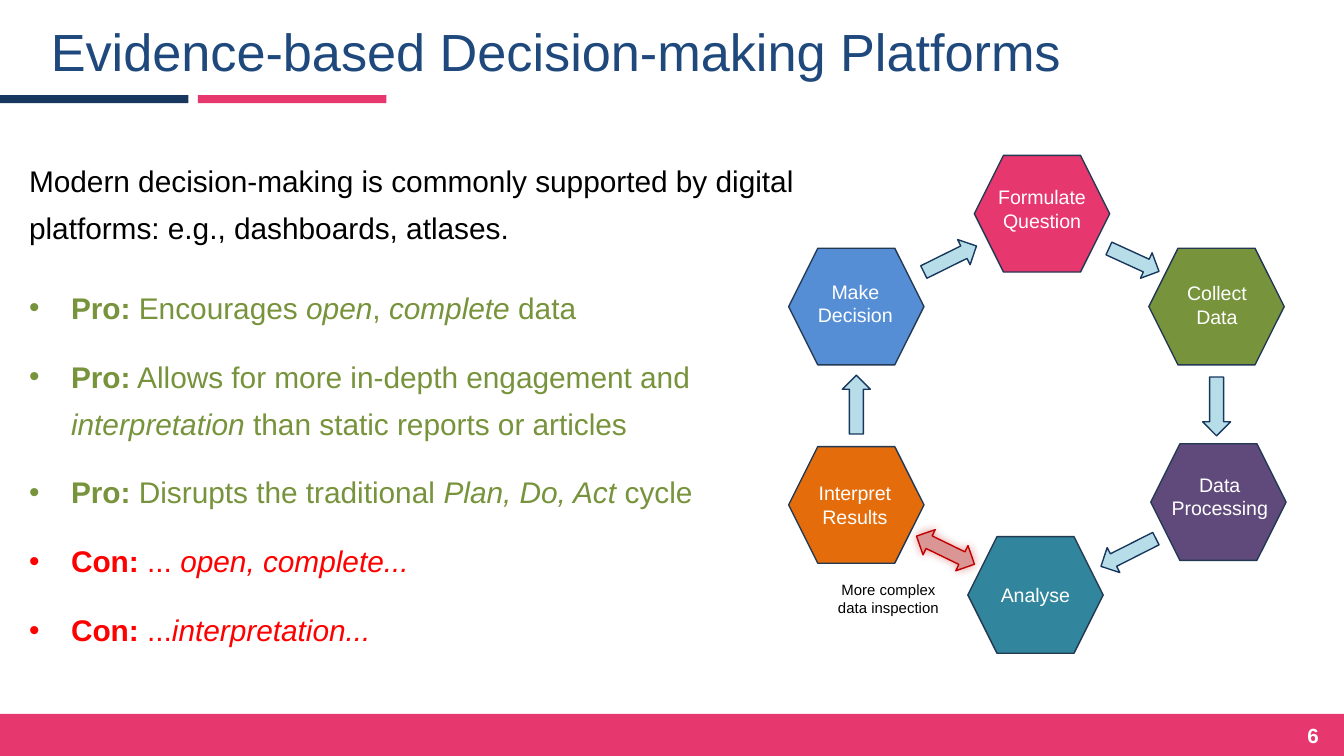
"""Build the slide on evidence-based decision-making platforms."""
from lxml.etree import SubElement
from pptx import Presentation
from pptx.dml.color import RGBColor
from pptx.enum.shapes import MSO_SHAPE
from pptx.enum.text import MSO_ANCHOR, MSO_AUTO_SIZE, PP_ALIGN
from pptx.oxml.ns import qn
from pptx.util import Pt

NAVY, PINK, GREEN, RED = "17375E", "E6386E", "77933C", "FF0000"
WHITE, BLACK = "FFFFFF", "000000"


def add_figure(kind, box, fill, line=None, rotation=0):
    shape = slide.shapes.add_shape(kind, *[Pt(length) for length in box])
    shape.shadow.inherit = False
    shape.rotation = rotation
    shape.fill.solid()
    shape.fill.fore_color.rgb = RGBColor.from_string(fill)
    if line:
        shape.line.color.rgb = RGBColor.from_string(line)
        shape.line.width = Pt(0.75)
    else:
        shape.line.fill.background()
    return shape


def add_run(paragraph, text, size, colour, style=""):
    run = paragraph.add_run()
    run.text = text
    run.font.name = "Arial"
    run.font.size = Pt(size)
    run.font.bold = style == "bold"
    run.font.italic = style == "italic"
    run.font.color.rgb = RGBColor.from_string(colour)


presentation = Presentation()
presentation.slide_width, presentation.slide_height = Pt(720), Pt(405)
slide = presentation.slides.add_slide(presentation.slide_layouts[5])

title = slide.shapes.title
title.left, title.top, title.width, title.height = Pt(20), Pt(4.5), Pt(635), Pt(51)
title.text_frame.vertical_anchor = MSO_ANCHOR.MIDDLE
title.text_frame.margin_bottom = Pt(9)
title_paragraph = title.text_frame.paragraphs[0]
title_paragraph.alignment = PP_ALIGN.LEFT
add_run(title_paragraph, "Evidence-based Decision-making Platforms", 28, "1F497D")

for box, fill in [
    ((0, 51, 101, 4.25), NAVY),
    ((106, 51, 101, 4.25), PINK),
    ((0, 382.5, 720, 22.5), PINK),
]:
    add_figure(MSO_SHAPE.RECTANGLE, box, fill)

number_box = slide.shapes.add_textbox(Pt(672), Pt(382.5), Pt(43), Pt(22.5))
number_box.text_frame.vertical_anchor = MSO_ANCHOR.MIDDLE
number_box.text_frame.margin_right = Pt(8.5)
number_paragraph = number_box.text_frame.paragraphs[0]
number_paragraph.alignment = PP_ALIGN.RIGHT
add_run(number_paragraph, "6", 11, WHITE, "bold")

body_box = slide.shapes.add_textbox(Pt(8.5), Pt(78), Pt(424), Pt(278))
body = body_box.text_frame
body.word_wrap = True
introduction = body.paragraphs[0]
introduction.line_spacing = 1.3
add_run(
    introduction,
    "Modern decision-making is commonly supported by digital platforms: "
    "e.g., dashboards, atlases.",
    16,
    BLACK,
)

points = [
    (18, GREEN, [("Pro: ", "bold"), ("Encourages ", ""), ("open", "italic"),
                 (", ", ""), ("complete", "italic"), (" data", "")]),
    (12, GREEN, [("Pro:", "bold"), (" Allows for more in-depth engagement and ", ""),
                 ("interpretation", "italic"),
                 (" than static reports or articles", "")]),
    (12, GREEN, [("Pro:", "bold"), (" Disrupts the traditional ", ""),
                 ("Plan, Do, Act ", "italic"), ("cycle", "")]),
    (12, RED, [("Con:", "bold"), (" ...", ""), (" open, complete...", "italic")]),
    (12, RED, [("Con: ", "bold"), ("...", ""), ("interpretation...", "italic")]),
]
for space_before, colour, runs in points:
    paragraph = body.add_paragraph()
    properties = paragraph._p.get_or_add_pPr()
    properties.set("marL", str(Pt(22.5)))
    properties.set("indent", str(-Pt(22.5)))
    SubElement(properties, qn("a:buFont")).set("typeface", "Arial")
    SubElement(properties, qn("a:buChar")).set("char", "•")
    paragraph.line_spacing = 1.3
    paragraph.space_before = Pt(space_before)
    for text, style in runs:
        add_run(paragraph, text, 16, colour, style)

complex_arrow = add_figure(
    MSO_SHAPE.UP_DOWN_ARROW, (499, 277.5, 15, 34.5), "D99694", "C00000", 115.9
)
effects = complex_arrow._element.spPr.find(qn("a:effectLst"))
shadow = SubElement(effects, qn("a:outerShdw"), blurRad=str(Pt(5)), dist="0", dir="0")
shadow_colour = SubElement(shadow, qn("a:srgbClr"), val="C00000")
SubElement(shadow_colour, qn("a:alpha"), val="40000")

for box, rotation in [
    ((597, 279.5, 15, 33), 63.2),
    ((600, 124.5, 15, 29.5), 294.6),
    ((451.25, 201, 15, 31.5), 180),
    ((644.25, 202, 15, 31.5), 0),
    ((501.5, 123, 15, 31.5), 243.7),
]:
    add_figure(MSO_SHAPE.DOWN_ARROW, box, "B7DEE8", NAVY, rotation)

steps = [
    (["Formulate", "Question"], 522, 83.25, "E6376E", (527, 95.75, 62.5, 32.5)),
    (["Collect", "Data"], 615.5, 133, GREEN, (628.5, 147, 47, 32.5)),
    (["Data", "Processing"], 616.5, 237.75, "604A7B", (620, 249.75, 67, 32.5)),
    (["Analyse"], 518.5, 287.5, "31859C", (528.5, 309, 52.5, 20)),
    (["Interpret", "Results"], 422.5, 239.25, "E46C0A", (431, 254.25, 54, 32.5)),
    (["Make", "Decision"], 422.5, 133, "558ED5", (430.5, 146.25, 55.5, 32.5)),
]
for lines, left, top, fill, label_box in steps:
    add_figure(MSO_SHAPE.HEXAGON, (left, top, 72.5, 62.5), fill, "233953")
    label = slide.shapes.add_textbox(*[Pt(length) for length in label_box]).text_frame
    label.word_wrap = False
    label.auto_size = MSO_AUTO_SIZE.SHAPE_TO_FIT_TEXT
    for index, text in enumerate(lines):
        paragraph = label.add_paragraph() if index else label.paragraphs[0]
        paragraph.alignment = PP_ALIGN.CENTER
        add_run(paragraph, text, 10.5, WHITE)

note = slide.shapes.add_textbox(Pt(437), Pt(307.5), Pt(78), Pt(26.5)).text_frame
note.word_wrap = True
note.auto_size = MSO_AUTO_SIZE.SHAPE_TO_FIT_TEXT
note.paragraphs[0].alignment = PP_ALIGN.CENTER
add_run(note.paragraphs[0], "More complex data inspection", 8, BLACK)

presentation.save("out.pptx")
